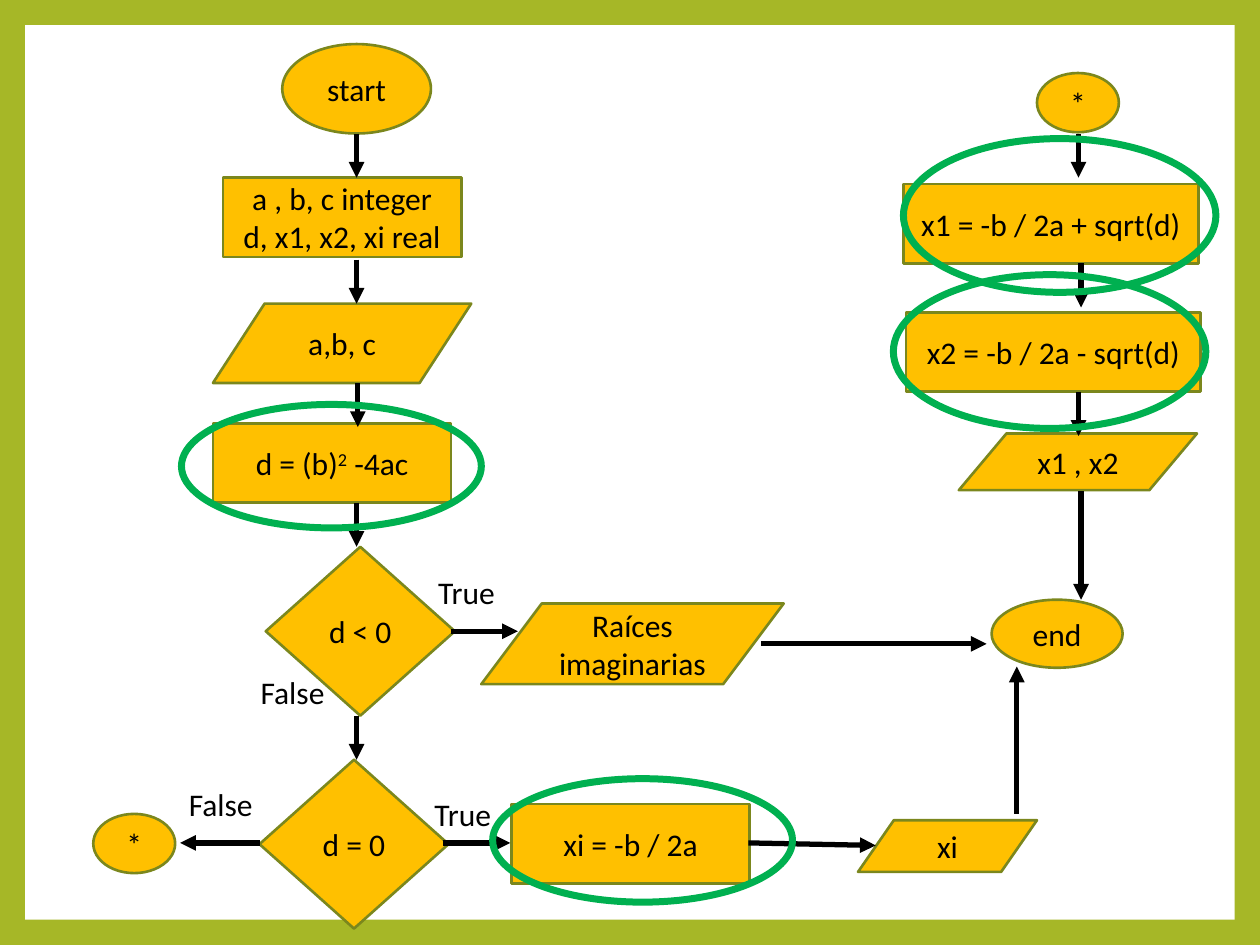
from lxml import etree
from pptx import Presentation
from pptx.dml.color import RGBColor
from pptx.enum.shapes import MSO_CONNECTOR, MSO_SHAPE as Shape
from pptx.enum.text import MSO_ANCHOR, MSO_AUTO_SIZE, PP_ALIGN
from pptx.oxml.ns import qn
from pptx.util import Inches, Pt

GREEN, WHITE, AMBER = "A6B727", "FFFFFF", "FFC000"
OLIVE, BLACK, RING = "7B871D", "000000", "00B050"
TEXT_FORMAT = {"name": "Calibri", "size": Pt(18)}

OVAL, PROCESS = Shape.OVAL, Shape.FLOWCHART_PROCESS
DATA, DECISION = Shape.FLOWCHART_DATA, Shape.FLOWCHART_DECISION

# kind, left, top, width, height, lines of text (^ marks a superscript part)
NODES = [
    (OVAL, 2.24, 0.35, 1.18, 0.71, ["start"]),
    (PROCESS, 1.77, 1.41, 1.89, 0.63, ["a , b, c integer", "d, x1, x2, xi real"]),
    (DATA, 1.69, 2.41, 2.05, 0.63, ["a,b, c"]),
    (PROCESS, 1.69, 3.36, 1.89, 0.63, ["d = (b)^2^ -4ac"]),
    (DECISION, 2.11, 4.34, 1.5, 1.34, ["d < 0"]),
    (DATA, 3.82, 4.79, 2.4, 0.64, ["Raíces imaginarias"]),
    (DECISION, 2.06, 6.03, 1.5, 1.34, ["d = 0"]),
    (PROCESS, 4.06, 6.38, 1.89, 0.63, ["xi = -b / 2a"]),
    (DATA, 6.81, 6.51, 1.42, 0.41, ["xi"]),
    (OVAL, 0.74, 6.46, 0.65, 0.47, ["*"]),
    (OVAL, 8.23, 0.58, 0.65, 0.47, ["*"]),
    (PROCESS, 7.17, 1.46, 2.34, 0.63, ["x1 = -b / 2a + sqrt(d)"]),
    (PROCESS, 7.19, 2.48, 2.34, 0.63, ["x2 = -b / 2a - sqrt(d)"]),
    (DATA, 7.61, 3.44, 1.89, 0.45, ["x1 , x2"]),
    (OVAL, 7.87, 4.76, 1.04, 0.54, ["end"]),
]

# Short downward arrows: x, top
STEP = 0.35
STEPS = [(2.83, 1.06), (2.83, 2.06), (2.84, 3.04), (2.83, 3.99), (2.83, 5.68),
         (8.56, 1.06), (8.58, 2.09), (8.56, 3.11)]

# Other arrows: from x, from y, to x, to y
BRANCHES = [
    (3.58, 5.01, 4.11, 5.01),
    (6.04, 5.11, 7.83, 5.11),
    (3.52, 6.69, 4.05, 6.69),
    (2.06, 6.69, 1.43, 6.69),
    (5.94, 6.69, 6.95, 6.71),
    (8.58, 3.9, 8.58, 4.76),
    (8.07, 6.46, 8.07, 5.29),
]

# Text, left, top, width
LABELS = [("True", 3.38, 4.5, 0.67), ("False", 1.97, 5.29, 0.74),
          ("True", 3.35, 6.26, 0.67), ("False", 1.4, 6.18, 0.74)]

# Highlight rings: left, top, width, height
RINGS = [(1.44, 3.21, 2.38, 0.98), (3.91, 6.18, 2.38, 0.98),
         (7.17, 1.1, 2.48, 1.22), (7.09, 2.18, 2.48, 1.22)]


def color(value):
    return RGBColor.from_string(value)


def write(para, text):
    """Fill a paragraph; every second part between ^ marks is raised."""
    for index, part in enumerate(text.split("^")):
        span = para.add_run()
        span.text = part
        for name, value in TEXT_FORMAT.items():
            setattr(span.font, name, value)
        span.font.color.rgb = color(BLACK)
        if index % 2:
            span.font._element.set("baseline", "30000")


def add_box(page, kind, place, fill=None, line=None, width=0):
    box = page.shapes.add_shape(kind, *map(Inches, place))
    box.shadow.inherit = False
    if fill:
        box.fill.solid()
        box.fill.fore_color.rgb = color(fill)
    else:
        box.fill.background()
    if line:
        box.line.color.rgb = color(line)
        box.line.width = Pt(width)
    else:
        box.line.fill.background()
    return box


def add_node(page, kind, *place_and_lines):
    *place, lines = place_and_lines
    frame = add_box(page, kind, place, AMBER, OLIVE, 1.5).text_frame
    frame.word_wrap = True
    frame.vertical_anchor = MSO_ANCHOR.MIDDLE
    for index, text in enumerate(lines):
        para = frame.add_paragraph() if index else frame.paragraphs[0]
        para.alignment = PP_ALIGN.CENTER
        write(para, text)


def add_arrow(page, *ends):
    arrow = page.shapes.add_connector(MSO_CONNECTOR.STRAIGHT, *map(Inches, ends))
    arrow.line.color.rgb = color(BLACK)
    arrow.line.width = Pt(3)
    etree.SubElement(arrow.line._get_or_add_ln(), qn("a:tailEnd"), type="triangle")
    etree.SubElement(arrow._element.spPr, qn("a:effectLst"))


def add_label(page, text, left, top, width):
    box = page.shapes.add_textbox(*map(Inches, (left, top, width, 0.4)))
    box.text_frame.word_wrap = False
    box.text_frame.auto_size = MSO_AUTO_SIZE.SHAPE_TO_FIT_TEXT
    write(box.text_frame.paragraphs[0], text)


def main():
    deck = Presentation()
    deck.slide_width, deck.slide_height = Inches(10), Inches(7.5)
    page = deck.slides.add_slide(deck.slide_layouts[6])

    # Green frame around a white panel
    page.background.fill.solid()
    page.background.fill.fore_color.rgb = color(GREEN)
    add_box(page, Shape.RECTANGLE, (0.2, 0.2, 9.6, 7.1), WHITE)

    # Flowchart
    for node in NODES:
        add_node(page, *node)
    for x, top in STEPS:
        add_arrow(page, x, top, x, top + STEP)
    for ends in BRANCHES:
        add_arrow(page, *ends)
    for label in LABELS:
        add_label(page, *label)

    # Rings around the formulas
    for place in RINGS:
        add_box(page, OVAL, place, line=RING, width=4)

    deck.save("out.pptx")


if __name__ == "__main__":
    main()
